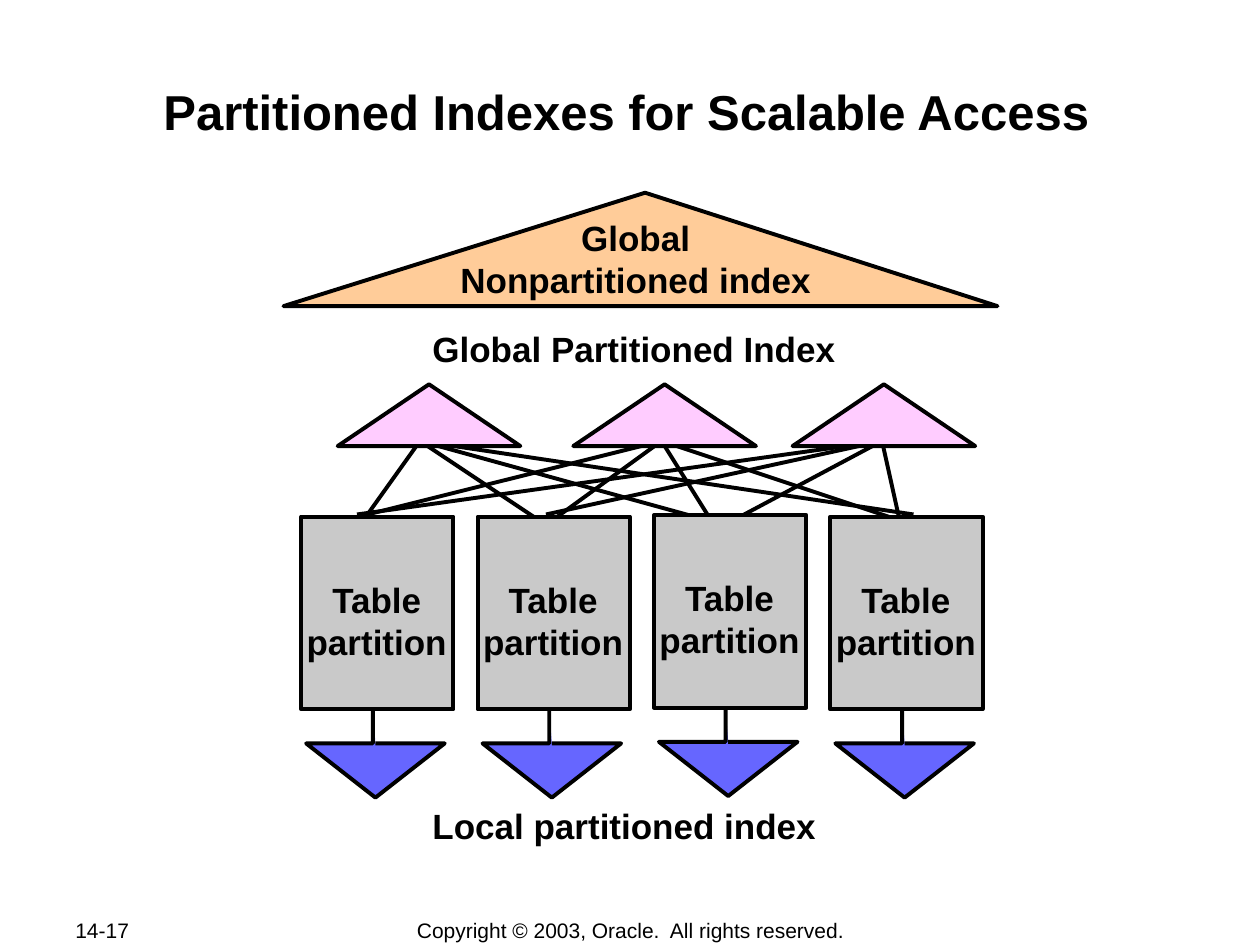
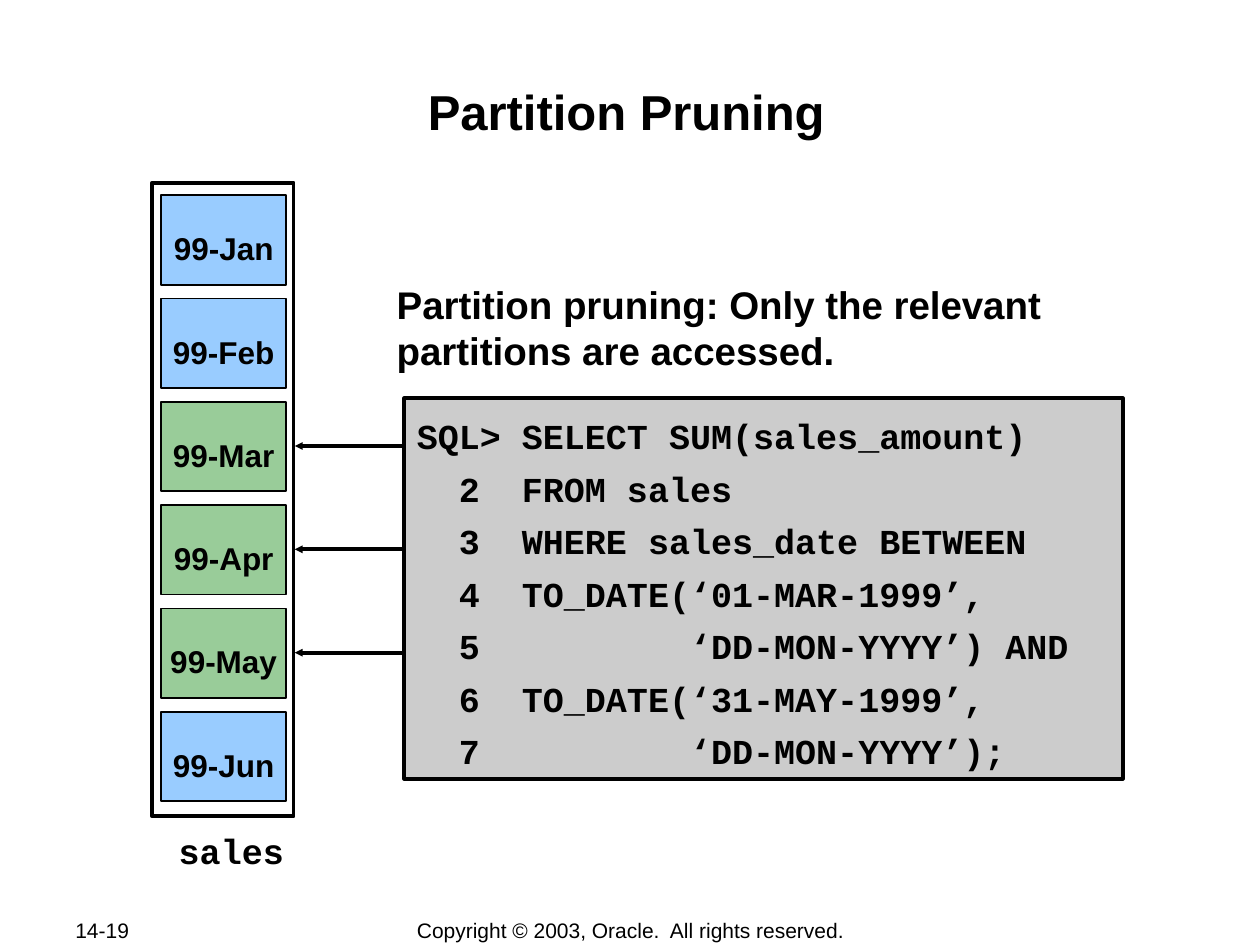
from lxml.etree import SubElement
from pptx import Presentation
from pptx.dml.color import RGBColor
from pptx.enum.shapes import MSO_CONNECTOR, MSO_SHAPE
from pptx.enum.text import MSO_ANCHOR, PP_ALIGN
from pptx.oxml.ns import qn
from pptx.util import Inches, Pt

# Shared look; every length is in cells of a 120 x 90 grid
COLS, ROWS = 120, 90
WIDTH, HEIGHT = Inches(10), Inches(7.5)
CELL = WIDTH / COLS
SANS, MONO = "Arial", "Courier New"
RULE = 2.25
COLORS = {
    "ink": "000000",
    "peach": "FFCC99",
    "pink": "FFCCFF",
    "violet": "6666FF",
    "gray": "C9C9C9",
    "code": "CCCCCC",
    "green": "99CC99",
    "blue": "99CCFF",
}
RIGHTS = "Copyright © 2003, Oracle.  All rights reserved."
QUERY = """SQL> SELECT SUM(sales_amount)
  2  FROM sales
  3  WHERE sales_date BETWEEN
  4  TO_DATE(‘01-MAR-1999’,
  5          ‘DD-MON-YYYY’) AND
  6  TO_DATE(‘31-MAY-1999’,
  7          ‘DD-MON-YYYY’);"""


def grid(*cells):
    return [round(cell * CELL) for cell in cells]


def color(name):
    return RGBColor.from_string(COLORS[name])


def write(frame, text, size, font=SANS, bold=True, align=PP_ALIGN.LEFT,
          space=None):
    frame.text = text
    for para in frame.paragraphs:
        para.alignment = align
        para.line_spacing = space
        for run in para.runs:
            run.font.name, run.font.size = font, Pt(size)
            run.font.bold = bold
            run.font.color.rgb = color("ink")


def label(slide, text, area, size=20, wrap=False, anchor=MSO_ANCHOR.TOP,
          **style):
    frame = slide.shapes.add_textbox(*grid(*area)).text_frame
    frame.word_wrap = wrap
    frame.vertical_anchor = anchor
    write(frame, text, size, **style)


def paint(shape, fill=None, width=RULE):
    shape.shadow.inherit = False
    if fill:
        shape.fill.solid()
        shape.fill.fore_color.rgb = color(fill)
    else:
        shape.fill.background()
    shape.line.color.rgb = color("ink")
    shape.line.width = Pt(width)
    return shape


def block(slide, kind, area, fill=None, width=RULE):
    return paint(slide.shapes.add_shape(kind, *grid(*area)), fill, width)


def outline(slide, points, fill, close=True):
    start, *rest = [grid(*point) for point in points]
    path = slide.shapes.build_freeform(*start)
    path.add_line_segments(rest, close=close)
    paint(path.convert_to_shape(), fill)


def link(slide, start, end, arrow=False):
    line = slide.shapes.add_connector(
        MSO_CONNECTOR.STRAIGHT, *grid(*start, *end))
    line.line.color.rgb = color("ink")
    line.line.width = Pt(RULE)
    if arrow:
        SubElement(line.line._get_or_add_ln(), qn("a:tailEnd"),
                   type="triangle", w="sm", len="sm")
    SubElement(line._element.spPr, qn("a:effectLst"))


def start(deck, title, page):
    """Add a slide with its title and footers."""
    slide = deck.slides.add_slide(deck.slide_layouts[5])
    head = slide.shapes.title
    head.left, head.top, head.width, head.height = grid(11.64, 7, 96, 11.5)
    frame = head.text_frame
    frame.word_wrap = True
    frame.vertical_anchor = MSO_ANCHOR.TOP
    frame.margin_left = frame.margin_right = frame.margin_bottom = Inches(0.01)
    frame.margin_top = Inches(0.06)
    write(frame, title, 28, align=PP_ALIGN.CENTER)
    foot = {"size": 12, "bold": False, "wrap": True,
            "anchor": MSO_ANCHOR.MIDDLE}
    label(slide, page, (6, 87.36, 12.72, 2.4), **foot)
    label(slide, RIGHTS, (33.12, 87.36, 53.88, 2.5),
          align=PP_ALIGN.CENTER, **foot)
    return slide


def table(slide, left, lift):
    """Draw one table partition above its local index."""
    stem, neck, tip = left + 6.84, 70.8 - lift, left + 7.08
    outline(slide, [(stem, 67.68 - lift), (stem, neck), (left + 0.48, neck),
                    (tip, 75.96 - lift), (left + 13.68, neck), (tip, neck)],
            "violet", close=False)
    block(slide, MSO_SHAPE.RECTANGLE, (left, 49.2 - lift, 14.5, 18.36), "gray")
    label(slide, "Table\npartition", (left - 0.72, 54.48 - lift, 15.84, 9.24),
          align=PP_ALIGN.CENTER)


def indexes(deck):
    slide = start(deck, "Partitioned Indexes for Scalable Access", "14-17")

    # Global index on the whole table
    outline(slide, [(27, 29.16), (95, 29.16), (61.44, 18.36)], "peach")
    label(slide, "Global\nNonpartitioned index", (42.6, 20.04, 35.88, 9.24),
          align=PP_ALIGN.CENTER)
    label(slide, "Global Partitioned Index", (40, 30.6, 49, 5.16))
    label(slide, "Local partitioned index", (40, 76, 39, 5.16))

    # Each global index part reaches every table partition
    links = {
        (40, 42): [(35, 49), (52, 50), (69, 50), (87, 49)],
        (63, 42): [(35, 49), (52, 50), (68, 50), (87, 50)],
        (84, 42): [(34, 49), (52, 49), (69, 50), (86, 51)],
    }
    for base, ends in links.items():
        for end in ends:
            link(slide, base, end)
    for left in (32.16, 54.6, 75.48):
        block(slide, MSO_SHAPE.ISOSCELES_TRIANGLE, (left, 36.6, 17.4, 5.88),
              "pink")

    # Row of table partitions
    for col, lift in enumerate((0, 0, 0.15, 0)):
        table(slide, 28.68 + 16.8 * col, lift)


def pruning(deck):
    slide = start(deck, "Partition Pruning", "14-19")
    label(slide, "Partition pruning: Only the relevant partitions are accessed.",
          (36.6, 26.2, 70.32, 9.96), size=22, wrap=True)

    # Monthly partitions, with arrows to those the query reads
    block(slide, MSO_SHAPE.RECTANGLE, (14.52, 17.4, 13.44, 60.36))
    used = ("Mar", "Apr", "May")
    for row, month in enumerate(("Jan", "Feb", "Mar", "Apr", "May", "Jun")):
        top = 18.6 + 9.84 * row
        block(slide, MSO_SHAPE.RECTANGLE, (15.36, top, 11.88, 8.52),
              "green" if month in used else "blue", width=1)
        label(slide, f"99-{month}", (15, top + 2.64, 12.6, 4.8), size=18,
              align=PP_ALIGN.CENTER)
        if month in used:
            mid = top + 4.2
            link(slide, (40, mid), (28.08, mid), arrow=True)
    label(slide, "sales", (15.84, 78.4, 13.08, 5.16), font=MONO, wrap=True)

    # Query
    box = block(slide, MSO_SHAPE.RECTANGLE, (38.52, 37.92, 68.4, 36.24), "code")
    box.text_frame.word_wrap = True
    box.text_frame.vertical_anchor = MSO_ANCHOR.TOP
    write(box.text_frame, QUERY, 20, font=MONO, space=1.25)


def main():
    deck = Presentation()
    deck.slide_width, deck.slide_height = WIDTH, HEIGHT
    indexes(deck)
    pruning(deck)
    deck.save("out.pptx")


if __name__ == "__main__":
    main()
